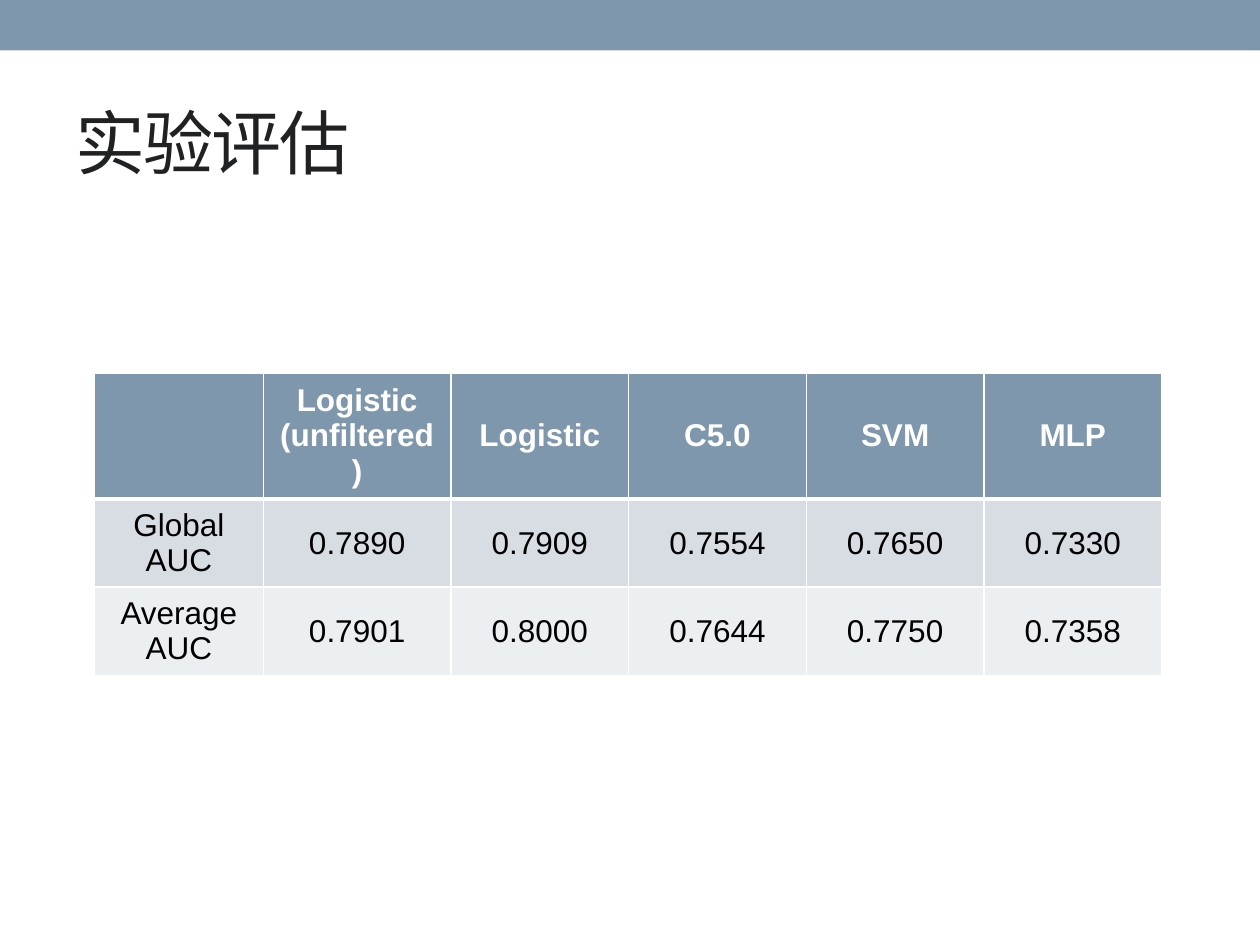
from dataclasses import dataclass

from lxml.etree import SubElement
from pptx import Presentation
from pptx.dml.color import RGBColor
from pptx.enum.shapes import MSO_SHAPE as Shape
from pptx.enum.text import MSO_ANCHOR as Anchor, PP_ALIGN as Align
from pptx.oxml.ns import qn
from pptx.util import Inches, Pt

WIDTH, HEIGHT = 10, 7.5
FONT = "Arial"
SLATE, WHITE, BLACK, INK = "7E97AD", "FFFFFF", "000000", "1F2123"
COLUMN_WIDTHS = [1.34, 1.49] + [1.41] * 4
ROW_HEIGHT = 0.46
THIN, THICK = 1, 3


@dataclass(frozen=True)
class TableRow:
    texts: tuple[str, ...]
    fill: str
    color: str = BLACK
    bold: bool = False
    top: float = THIN
    bottom: float = THIN


ROWS = [
    TableRow(("", "Logistic (unfiltered)", "Logistic", "C5.0", "SVM", "MLP"),
             SLATE, WHITE, bold=True, bottom=THICK),
    TableRow(("Global AUC", "0.7890", "0.7909", "0.7554", "0.7650", "0.7330"),
             "D8DDE3", top=THICK),
    TableRow(("Average AUC", "0.7901", "0.8000", "0.7644", "0.7750", "0.7358"),
             "ECEFF1"),
]


def rgb(color: str) -> RGBColor:
    return RGBColor.from_string(color)


def paint(target, color: str) -> None:
    target.fill.solid()
    target.fill.fore_color.rgb = rgb(color)


def write(frame, text: str, *, size: float, color: str, bold: bool = False,
          align=Align.LEFT, spacing: float = 0) -> None:
    """Put one formatted paragraph into a text frame."""
    frame.word_wrap = True
    para = frame.paragraphs[0]
    para.alignment = align
    para.font.size = Pt(size)
    if not text:
        return
    span = para.add_run()
    span.text = text
    span.font.name = FONT
    span.font.size = Pt(size)
    span.font.bold = bold
    span.font.color.rgb = rgb(color)
    if spacing:
        span.font._element.set("spc", str(round(spacing * 100)))


def draw_borders(cell, row: TableRow) -> None:
    properties = cell._tc.get_or_add_tcPr()
    edges = {"lnL": THIN, "lnR": THIN, "lnT": row.top, "lnB": row.bottom}
    for tag, width in edges.items():
        line = SubElement(properties, qn(f"a:{tag}"), w=str(Pt(width)))
        fill = SubElement(line, qn("a:solidFill"))
        SubElement(fill, qn("a:srgbClr"), val=WHITE)


def draw_banner(page) -> None:
    banner = page.shapes.add_shape(Shape.RECTANGLE, 0, 0, Inches(WIDTH), Inches(0.4))
    banner.shadow.inherit = False
    paint(banner, SLATE)
    banner.line.fill.background()


def draw_title(page, text: str) -> None:
    box = page.shapes.add_textbox(Inches(WIDTH * 0.05), Inches(0.58),
                                  Inches(WIDTH * 0.9), Inches(1.08))
    box.text_frame.vertical_anchor = Anchor.MIDDLE
    write(box.text_frame, text, size=40, color=INK, spacing=-1)


def draw_table(page, rows: list[TableRow]) -> None:
    holder = page.shapes.add_table(len(rows), len(COLUMN_WIDTHS), Inches(0.75),
                                   Inches(2.96), Inches(sum(COLUMN_WIDTHS)), Inches(2.1))
    table = holder.table
    for column, width in zip(table.columns, COLUMN_WIDTHS):
        column.width = Inches(width)
    for table_row, row in zip(table.rows, rows):
        table_row.height = Inches(ROW_HEIGHT)
        for cell, text in zip(table_row.cells, row.texts):
            draw_borders(cell, row)
            paint(cell, row.fill)
            cell.vertical_anchor = Anchor.MIDDLE
            write(cell.text_frame, text, size=18, color=row.color,
                  bold=row.bold, align=Align.CENTER)
    # Wrapped text makes the rows taller than their minimum
    holder.height = Inches(2.1)


def main() -> None:
    deck = Presentation()
    deck.slide_width, deck.slide_height = Inches(WIDTH), Inches(HEIGHT)
    page = deck.slides.add_slide(deck.slide_layouts[6])
    paint(page.background, WHITE)
    draw_banner(page)
    draw_title(page, "实验评估")
    draw_table(page, ROWS)
    deck.save("out.pptx")


if __name__ == "__main__":
    main()
